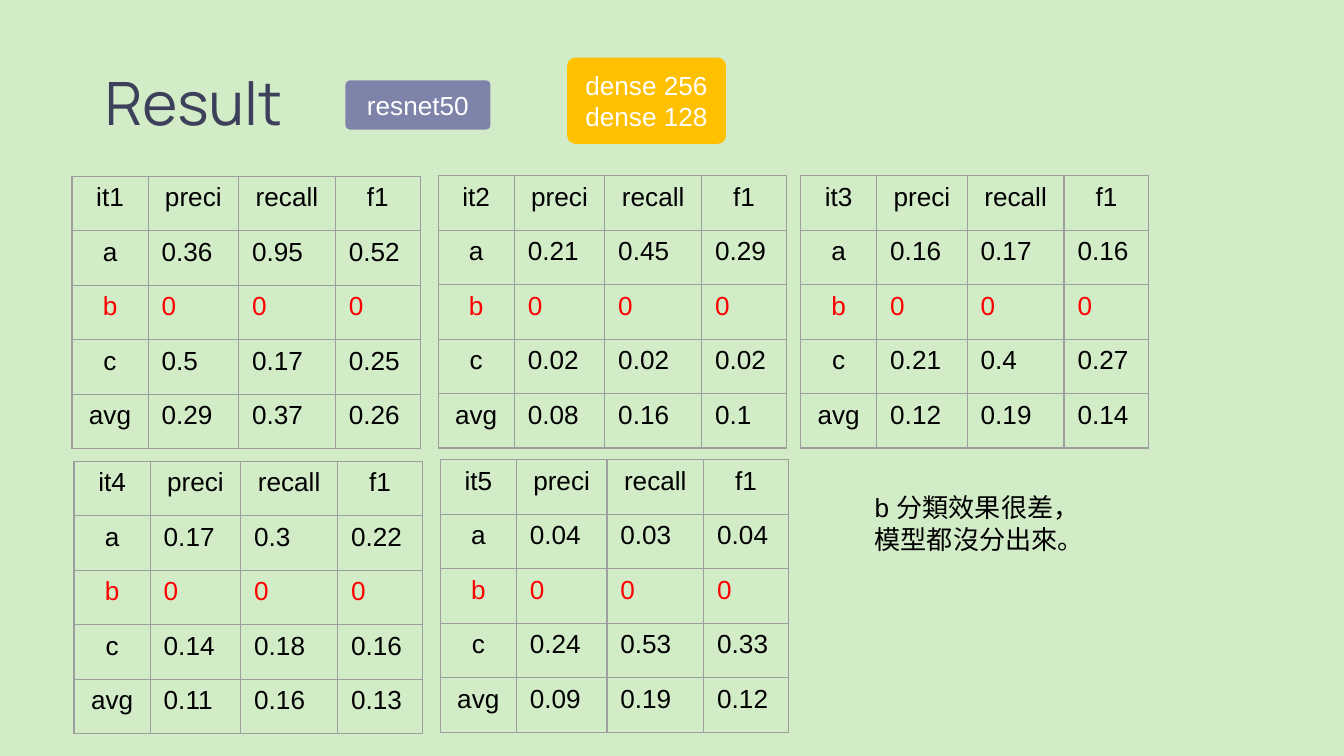
from lxml import etree
from pptx import Presentation
from pptx.dml.color import RGBColor
from pptx.enum.shapes import MSO_SHAPE
from pptx.enum.text import MSO_ANCHOR, MSO_AUTO_SIZE, PP_ALIGN
from pptx.oxml.ns import qn
from pptx.util import Cm, Pt

ROUNDED = MSO_SHAPE.ROUNDED_RECTANGLE
TOP, MIDDLE = MSO_ANCHOR.TOP, MSO_ANCHOR.MIDDLE
LEFT, CENTER = PP_ALIGN.LEFT, PP_ALIGN.CENTER
COLORS = {
    "background": "D2ECC8",
    "title": "3D405B",
    "model": "7E83A9",
    "layers": "FFC000",
    "label": "FFFFFF",
    "text": "000000",
    "failed": "FF0000",
    "border": "9E9E9E",
}


def style(paragraph, color, size=14, font="Arial", align=LEFT):
    paragraph.alignment = align
    paragraph.font.size = Pt(size)
    paragraph.font.name = font
    paragraph.font.color.rgb = RGBColor.from_string(COLORS[color])


def add_borders(cell):
    properties = cell._tc.get_or_add_tcPr()
    for position, side in enumerate(("lnL", "lnR", "lnT", "lnB")):
        line = etree.Element(qn(f"a:{side}"), w=str(Pt(0.75)))
        fill = etree.SubElement(line, qn("a:solidFill"))
        etree.SubElement(fill, qn("a:srgbClr"), val=COLORS["border"])
        properties.insert(position, line)


prs = Presentation()
prs.slide_width, prs.slide_height = Cm(25.4), Cm(14.29)
slide = prs.slides.add_slide(prs.slide_layouts[5])
slide.background.fill.solid()
slide.background.fill.fore_color.rgb = RGBColor.from_string(COLORS["background"])

title = slide.shapes.title
title.left, title.top, title.width, title.height = Cm(1.98), Cm(1.24), Cm(21.41), Cm(1.5)
title_frame = title.text_frame
title_frame.text = "Result"
title_frame.auto_size = MSO_AUTO_SIZE.NONE
title_frame.vertical_anchor = TOP
title_frame.margin_left = title_frame.margin_right = 0
title_frame.margin_top = title_frame.margin_bottom = 0
style(title_frame.paragraphs[0], "title", 32, "Manrope")

badges = [
    ("resnet50", "model", 6.53, 1.52, 2.74, 0.93),
    ("dense 256\ndense 128", "layers", 10.72, 1.09, 3, 1.63),
]
for label, color, left, top, width, height in badges:
    badge = slide.shapes.add_shape(ROUNDED, Cm(left), Cm(top), Cm(width), Cm(height))
    badge.adjustments[0] = 0.095
    badge.shadow.inherit = False
    badge.fill.solid()
    badge.fill.fore_color.rgb = RGBColor.from_string(COLORS[color])
    badge.line.fill.background()
    frame = badge.text_frame
    frame.text = label
    frame.vertical_anchor = MIDDLE
    frame.margin_left = frame.margin_right = Cm(0.25)
    frame.margin_top = frame.margin_bottom = Cm(0.25)
    for paragraph in frame.paragraphs:
        style(paragraph, "label", align=CENTER)

METRICS = ["preci", "recall", "f1"]
COLUMN_WIDTHS = [1.44, 1.71, 1.83, 1.6]
ROW_HEIGHT = 1.03
FAILED_SCORES = ["0", "0", "0"]
iterations = [
    (1.36, 3.33, ["0.36", "0.95", "0.52"], ["0.5", "0.17", "0.25"], ["0.29", "0.37", "0.26"]),
    (8.28, 3.32, ["0.21", "0.45", "0.29"], ["0.02", "0.02", "0.02"], ["0.08", "0.16", "0.1"]),
    (15.13, 3.32, ["0.16", "0.17", "0.16"], ["0.21", "0.4", "0.27"], ["0.12", "0.19", "0.14"]),
    (1.4, 8.72, ["0.17", "0.3", "0.22"], ["0.14", "0.18", "0.16"], ["0.11", "0.16", "0.13"]),
    (8.32, 8.69, ["0.04", "0.03", "0.04"], ["0.24", "0.53", "0.33"], ["0.09", "0.19", "0.12"]),
]
for number, (left, top, a_scores, c_scores, averages) in enumerate(iterations, 1):
    rows = [
        [f"it{number}", *METRICS],
        ["a", *a_scores],
        ["b", *FAILED_SCORES],
        ["c", *c_scores],
        ["avg", *averages],
    ]
    scores = slide.shapes.add_table(
        len(rows), len(COLUMN_WIDTHS), Cm(left), Cm(top),
        Cm(sum(COLUMN_WIDTHS)), Cm(ROW_HEIGHT * len(rows)),
    ).table
    scores.first_row = scores.horz_banding = False
    for column, width in zip(scores.columns, COLUMN_WIDTHS):
        column.width = Cm(width)
    for r, row in enumerate(rows):
        scores.rows[r].height = Cm(ROW_HEIGHT)
        for c, value in enumerate(row):
            cell = scores.cell(r, c)
            cell.text = value
            cell.fill.background()
            add_borders(cell)
            style(
                cell.text_frame.paragraphs[0],
                "failed" if row[0] == "b" else "text",
                align=CENTER if r == 0 or c == 0 else LEFT,
            )

remark = slide.shapes.add_textbox(Cm(16.28), Cm(9.17), Cm(4.5), Cm(2.06)).text_frame
remark.word_wrap = False
remark.auto_size = MSO_AUTO_SIZE.SHAPE_TO_FIT_TEXT
remark.text = "b 分類效果很差，\n模型都沒分出來。"
for paragraph in remark.paragraphs:
    style(paragraph, "text")

prs.save("out.pptx")
